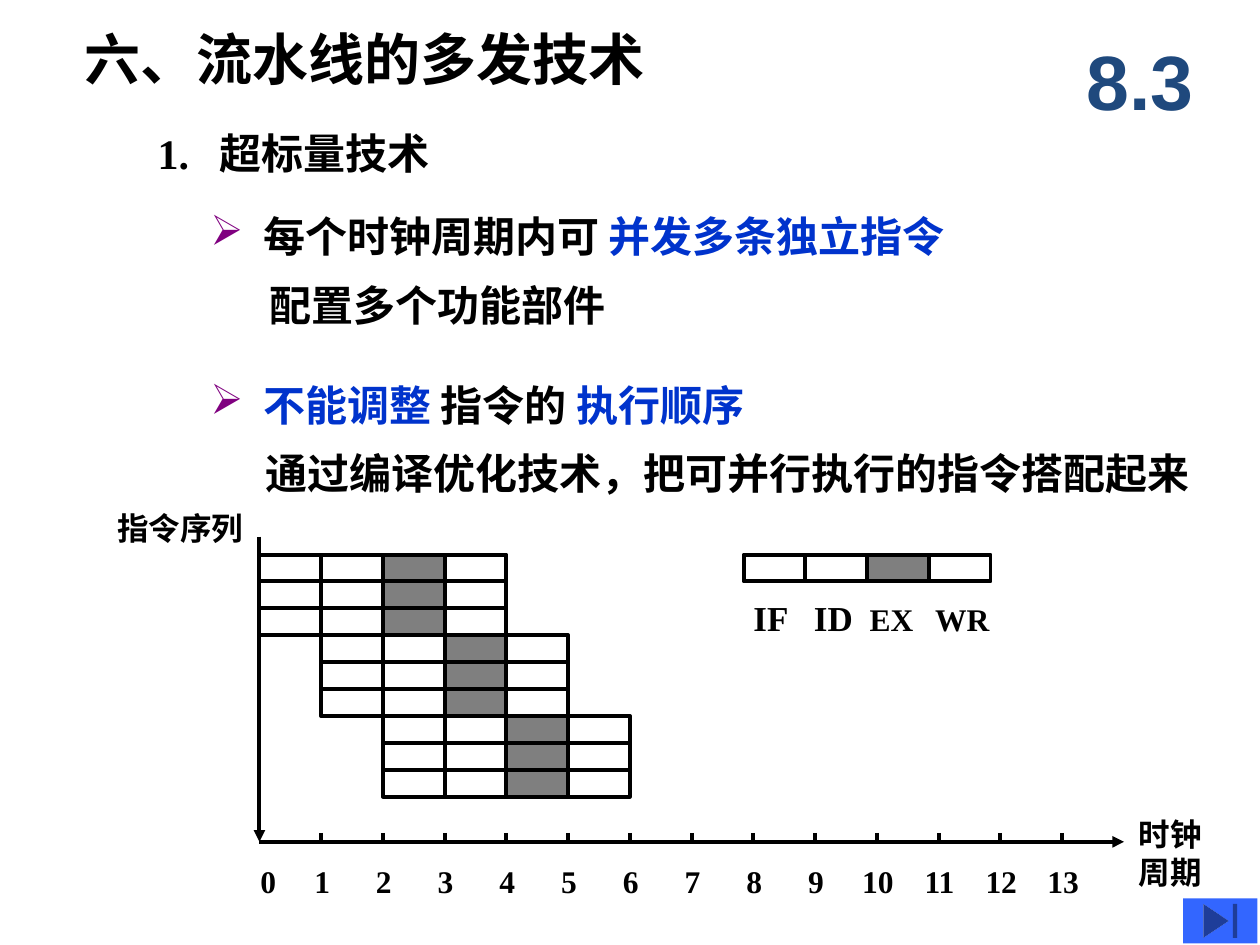
import pptx
import pptx.dml.color
import pptx.enum.shapes
import pptx.enum.text
import pptx.oxml.ns
import pptx.oxml.xmlchemy
import pptx.util
from lxml import etree
from pptx.util import Cm

BLACK, BLUE, PURPLE = "000000", "0033CC", "800080"
X0, AXIS_Y = 5.23, 16.97
CYCLES = 13
PITCH = 16.18 / CYCLES
ROW_TOP, ROW_H = 11.18, 4.88 / 9
STAGES, EX_STAGE, ISSUE_WIDTH = 4, 2, 3


def color(hex_string):
    return pptx.dml.color.RGBColor.from_string(hex_string)


def child(parent, tag, **attrs):
    """Append a DrawingML element such as a:tab to parent."""
    e = etree.SubElement(parent, pptx.oxml.ns.qn(tag))
    for key, value in attrs.items():
        e.set(key, str(value))
    return e


def add_run(p, text, size=24, font="Times New Roman", fill=BLACK):
    r = p.add_run()
    r.text = text
    r.font.size = pptx.util.Pt(size)
    r.font.name = font
    r.font.bold = True
    r.font.color.rgb = color(fill)


class SlideBuilder:
    def __init__(self, slide, line_width=2.25):
        self.s = slide
        self.line_width = pptx.util.Pt(line_width)

    def text(self, x, y, w, h, *paragraphs, inset=0, middle=False,
             center=False, bullet=None, tabs=(), tab_align="l", **fmt):
        """Each paragraph is a list of (text, format) pairs or a string."""
        sp = self.s.shapes.add_textbox(Cm(x), Cm(y), Cm(w), Cm(h))
        tf = sp.text_frame
        tf.word_wrap = True
        tf.margin_left, tf.margin_right = Cm(inset), 0
        anchor = pptx.enum.text.MSO_ANCHOR
        tf.vertical_anchor = anchor.MIDDLE if middle else anchor.TOP
        for i, content in enumerate(paragraphs):
            p = tf.add_paragraph() if i else tf.paragraphs[0]
            if center:
                p.alignment = pptx.enum.text.PP_ALIGN.CENTER
            pPr = p._p.get_or_add_pPr()
            if bullet:
                pPr.set("marL", str(Cm(1.07)))
                pPr.set("indent", str(-Cm(1.07)))
                child(child(pPr, "a:buClr"), "a:srgbClr", val=PURPLE)
                child(pPr, "a:buChar", char=bullet)
            if tabs:
                tab_list = child(pPr, "a:tabLst")
                for pos in tabs:
                    child(tab_list, "a:tab", pos=int(Cm(pos)), algn=tab_align)
            runs = [(content, {})] if isinstance(content, str) else content
            for text, own in runs:
                add_run(p, text, **{**fmt, **own})

    def cell(self, x, y, shaded):
        sp = self.s.shapes.add_shape(
            pptx.enum.shapes.MSO_SHAPE.RECTANGLE,
            Cm(x), Cm(y), Cm(PITCH), Cm(ROW_H))
        sp.shadow.inherit = False
        sp.line.color.rgb = color(BLACK)
        sp.line.width = self.line_width
        if shaded:
            sp.fill.solid()
            sp.fill.fore_color.rgb = color(BLACK)
            srgb = sp._element.spPr.find(".//" + pptx.oxml.ns.qn("a:srgbClr"))
            child(srgb, "a:alpha", val=50000)
        else:
            sp.fill.background()

    def instruction(self, x, y):
        """One row of pipeline stages with the EX stage shaded."""
        for stage in range(STAGES):
            self.cell(x + stage * PITCH, y, stage == EX_STAGE)

    def line(self, x1, y1, x2, y2, arrow=False):
        c = self.s.shapes.add_connector(
            pptx.enum.shapes.MSO_CONNECTOR.STRAIGHT,
            Cm(x1), Cm(y1), Cm(x2), Cm(y2))
        c.line.color.rgb = color(BLACK)
        c.line.width = self.line_width
        if arrow:
            child(c.line._get_or_add_ln(), "a:tailEnd", type="triangle")
        child(c._element.spPr, "a:effectLst")

    def end_button(self, x, y, w, h, fill):
        sp = self.s.shapes.add_shape(
            pptx.enum.shapes.MSO_SHAPE.ACTION_BUTTON_END,
            Cm(x), Cm(y), Cm(w), Cm(h))
        sp.shadow.inherit = False
        sp.fill.solid()
        sp.fill.fore_color.rgb = color(fill)
        sp.line.fill.background()


def main():
    prs = pptx.Presentation()
    prs.slide_width, prs.slide_height = Cm(25.4), Cm(19.05)
    b = SlideBuilder(prs.slides.add_slide(prs.slide_layouts[6]))
    blue = {"fill": BLUE}

    b.text(1.7, 0.43, 14.99, 1.47, "六、流水线的多发技术", middle=True, size=32)
    b.text(3.18, 2.34, 6.55, 1.47, "1.\t超标量技术", middle=True, tabs=[1.24])
    b.text(4.24, 4.01, 16.71, 1.47,
           [("每个时钟周期内可 ", {}), ("并发多条独立指令", blue)],
           middle=True, bullet="➢")
    b.text(4.24, 7.42, 12.5, 1.47,
           [("不能调整 ", blue), ("指令的 ", {}), ("执行顺序", blue)],
           middle=True, bullet="➢")
    b.text(5.18, 5.51, 15.24, 1.27, "配置多个功能部件", inset=0.25)
    b.text(5.11, 8.89, 20.52, 1.27,
           "通过编译优化技术，把可并行执行的指令搭配起来", inset=0.25)
    b.text(21.39, 0.43, 3.18, 2.34, "8.3", middle=True, center=True,
           size=44, font="Arial", fill="1F497D")

    for row in range(9):
        start = row // ISSUE_WIDTH
        b.instruction(X0 + start * PITCH, ROW_TOP + row * ROW_H)

    b.instruction(14.99, ROW_TOP)
    b.text(14.94, 11.91, 5.26, 1.12,
           [("IF\tID", {"size": 20}), ("\tEX\tWR", {})],
           inset=0.25, tabs=[1.22, 2.34, 3.66], size=18)

    b.line(X0, 10.82, X0, AXIS_Y, arrow=True)
    b.line(X0, AXIS_Y, 22.66, AXIS_Y, arrow=True)
    ticks = range(1, CYCLES + 1)
    for i in ticks:
        b.line(X0 + i * PITCH, AXIS_Y - 0.18, X0 + i * PITCH, AXIS_Y)
    b.text(5, 17.25, 19.13, 1.02, "\t".join(map(str, range(CYCLES + 1))),
           inset=0.25, tabs=[i * PITCH for i in ticks], tab_align="ctr", size=18)
    b.text(22.71, 16.31, 3.4, 1.78, "时钟", "周期", inset=0.25, size=18)
    b.text(2.11, 10.13, 3.4, 1.02, "指令序列", inset=0.25, size=18)
    b.end_button(23.85, 18.11, 1.5, 0.91, "3366FF")

    prs.save("out.pptx")


if __name__ == "__main__":
    main()
